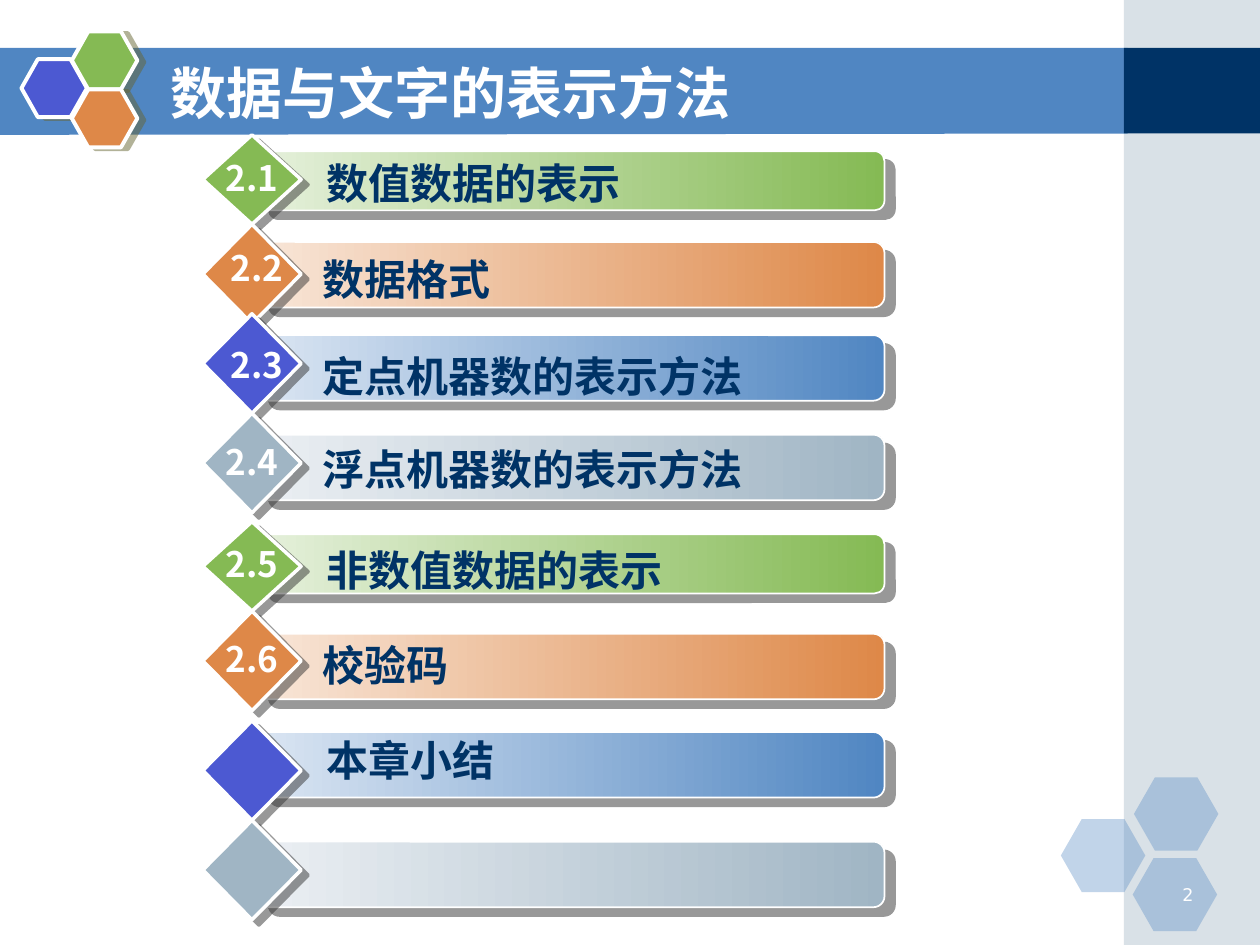
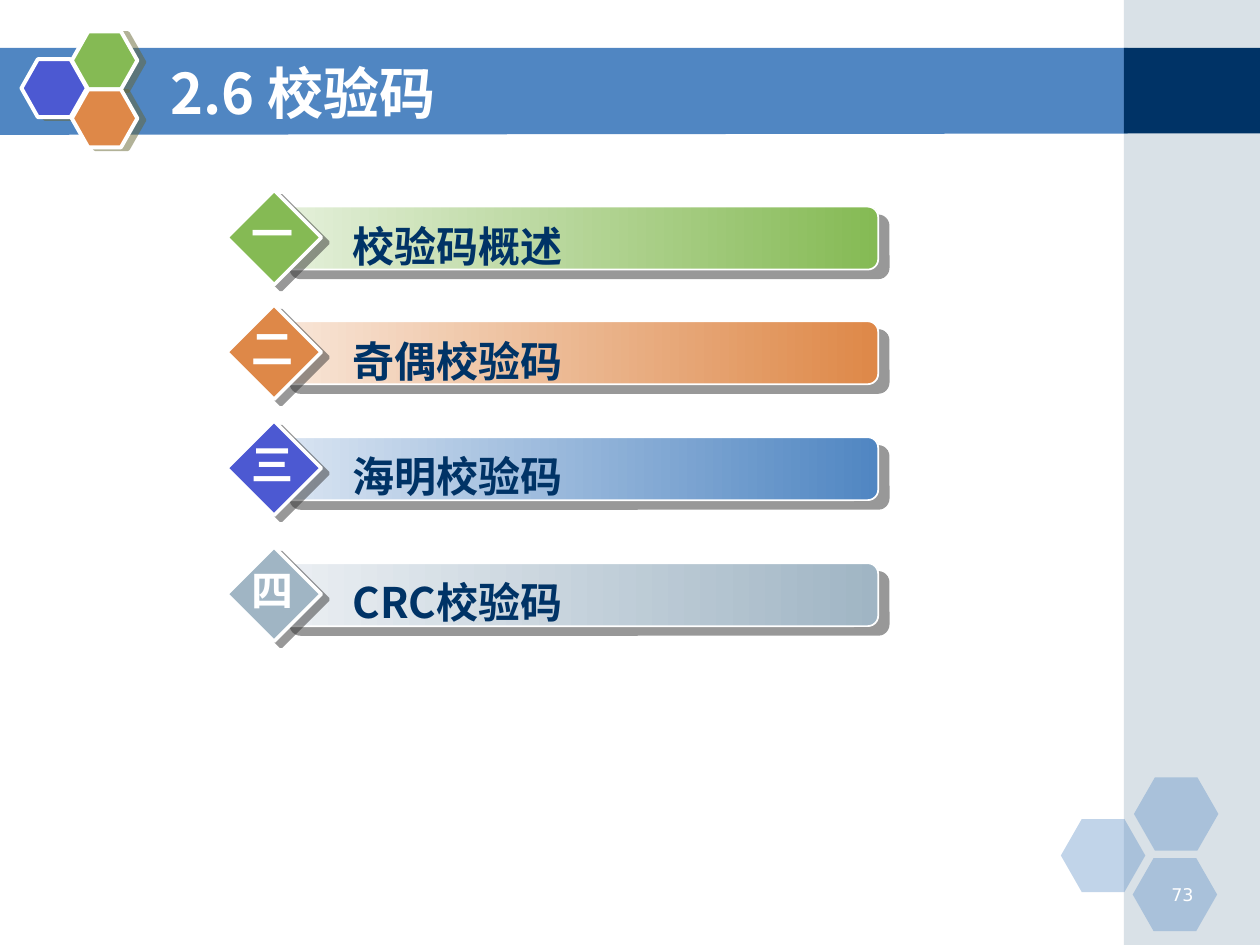
"""Build the chapter contents slide and the check code section slide."""
from lxml import etree
from pptx import Presentation
from pptx.dml.color import RGBColor
from pptx.enum.shapes import MSO_SHAPE
from pptx.enum.text import MSO_ANCHOR, MSO_AUTO_SIZE, PP_ALIGN
from pptx.oxml.ns import qn
from pptx.util import Inches, Pt

RECTANGLE, ROUNDED = MSO_SHAPE.RECTANGLE, MSO_SHAPE.ROUNDED_RECTANGLE
HEXAGON, DIAMOND = MSO_SHAPE.HEXAGON, MSO_SHAPE.DIAMOND
LEFT, CENTER, RIGHT = PP_ALIGN.LEFT, PP_ALIGN.CENTER, PP_ALIGN.RIGHT
MIDDLE, NO_FIT = MSO_ANCHOR.MIDDLE, MSO_AUTO_SIZE.NONE

COLORS = {
    "white": "FFFFFF", "navy": "003366", "blue": "5086C2", "indigo": "4C59D2",
    "green": "85BA54", "orange": "DE8848", "gray": "A0B5C4",
    "pale_green": "E5F0DB", "pale_orange": "F8E6D8",
    "pale_blue": "DAE5F2", "pale_gray": "EBEFF3",
    "shadow": "333333", "badge_shadow": "666633",
}
TEXT_FONT, NUMBER_FONT = "Noto Sans CJK SC", "DejaVu Sans"

# Diamond colour, then the start and end of the bar's gradient.
ACCENTS = [
    ("green", "pale_green", "green"),
    ("orange", "pale_orange", "orange"),
    ("indigo", "pale_blue", "blue"),
    ("gray", "pale_gray", "gray"),
]

CHAPTER_TITLE, CHAPTER_PAGE = "数据与文字的表示方法", "2"
# Number, its left and top; label, its left and top; bar top, diamond top.
CHAPTER_ROWS = [
    ("2.1", 1.69, 1.19, "数值数据的表示", 2.49, 1.2, 1.2, 1.07),
    ("2.2", 1.73, 1.91, "数据格式", 2.46, 1.96, 1.92, 1.78),
    ("2.3", 1.73, 2.68, "定点机器数的表示方法", 2.46, 2.73, 2.66, 2.49),
    ("2.4", 1.69, 3.45, "浮点机器数的表示方法", 2.46, 3.47, 3.45, 3.28),
    ("2.5", 1.69, 4.26, "非数值数据的表示", 2.49, 4.27, 4.24, 4.14),
    ("2.6", 1.69, 5.01, "校验码", 2.46, 5.03, 5.03, 4.85),
    ("", 0, 0, "本章小结", 2.49, 5.78, 5.81, 5.72),
    ("", 0, 0, "", 0, 0, 6.68, 6.51),
]

SECTION_TITLE, SECTION_PAGE = "2.6 校验码", "73"
SECTION_ROWS = [
    ("一", "校验码概述", 1.64),
    ("二", "奇偶校验码", 2.55),
    ("三", "海明校验码", 3.47),
    ("四", "CRC校验码", 4.47),
]

CORNER_HEXAGONS = [(8.42, 6.5), (9, 6.17), (8.99, 6.81)]
BADGE_HEXAGONS = [(0.17, 0.47, "indigo"), (0.57, 0.25, "green"), (0.57, 0.71, "orange")]


def rgb(name):
    return RGBColor.from_string(COLORS[name])


def fill_solid(shape, color, opacity=100):
    shape.fill.solid()
    shape.fill.fore_color.rgb = rgb(color)
    if opacity < 100:
        tone = shape._element.spPr.find(qn("a:solidFill"))[0]
        etree.SubElement(tone, qn("a:alpha"), val=str(opacity * 1000))


def outline(shape, width):
    shape.line.color.rgb = rgb("white")
    shape.line.width = Pt(width)


def cast_shadow(shape, color, distance, angle):
    effects = shape._element.spPr.find(qn("a:effectLst"))
    shadow = etree.SubElement(
        effects, qn("a:outerShdw"), blurRad="0", dist=str(Pt(distance)),
        dir=str(angle * 60000), algn="ctr", rotWithShape="0")
    tone = etree.SubElement(shadow, qn("a:srgbClr"), val=COLORS[color])
    etree.SubElement(tone, qn("a:alpha"), val="50000")


def add_figure(page, kind, left, top, width, height, adjustments=()):
    shape = page.shapes.add_shape(
        kind, Inches(left), Inches(top), Inches(width), Inches(height))
    shape.shadow.inherit = False
    shape.line.fill.background()
    for index, value in enumerate(adjustments):
        shape.adjustments[index] = value
    return shape


def write(frame, text, size, color, align=LEFT, font=TEXT_FONT, bold=True):
    para = frame.paragraphs[0]
    para.alignment = align
    span = para.add_run()
    span.text = text
    span.font.size, span.font.bold, span.font.name = Pt(size), bold, font
    span.font.color.rgb = rgb(color)
    etree.SubElement(span._r.get_or_add_rPr(), qn("a:ea"), typeface=font)


def add_text(page, text, left, top, width, height, size, color, align=LEFT, **style):
    box = page.shapes.add_textbox(
        Inches(left), Inches(top), Inches(width), Inches(height))
    box.text_frame.word_wrap = align != CENTER
    write(box.text_frame, text, size, color, align, **style)


def decorate_layout(layout, page):
    """Draw the bands and hexagons, then move them to the shared layout."""
    for holder in list(layout.placeholders)[1:]:
        holder._element.getparent().remove(holder._element)

    builder = page.shapes.build_freeform(Inches(-0.01), Inches(0.38), scale=1.0)
    corners = [(8.95, 0.38), (8.95, 1.06), (-0.01, 1.07)]
    builder.add_line_segments([(Inches(x), Inches(y)) for x, y in corners], close=True)
    band = builder.convert_to_shape()
    band.shadow.inherit = False
    band.line.fill.background()
    fill_solid(band, "blue")

    side = add_figure(page, RECTANGLE, 8.92, 0, 1.08, 7.5)
    fill_solid(side, "gray", 40)
    crossing = add_figure(page, RECTANGLE, 8.92, 0.38, 1.08, 0.68)
    fill_solid(crossing, "navy")
    for left, top in CORNER_HEXAGONS:
        fill_solid(add_figure(page, HEXAGON, left, top, 0.67, 0.58, (0.286, 1.155)),
                   "blue", 35)
    for left, top, color in BADGE_HEXAGONS:
        badge = add_figure(page, HEXAGON, left, top, 0.52, 0.46, (0.283, 1.155))
        fill_solid(badge, color)
        outline(badge, 2.25)
        cast_shadow(badge, "badge_shadow", 4.1, 14)

    for shape in list(page.shapes):
        if not shape.is_placeholder:
            layout.shapes._spTree.append(shape._element)


def add_heading(page, title, page_number):
    add_text(page, page_number, 9.07, 6.97, 0.5, 0.25, 10, "white", RIGHT,
             font=NUMBER_FONT, bold=False)
    holder = page.shapes.title
    holder.left, holder.top = Inches(1.25), Inches(0.42)
    holder.width, holder.height = Inches(7.33), Inches(0.62)
    holder.text_frame.auto_size = NO_FIT
    holder.text_frame.vertical_anchor = MIDDLE
    write(holder.text_frame, title, 32, "white")


def add_bar(page, accent, bar_place, diamond_place):
    diamond_color, start, end = accent
    bar = add_figure(page, ROUNDED, *bar_place, (0.167,))
    bar.fill.gradient()
    bar.fill.gradient_angle = 0
    for stop, color in zip(bar.fill.gradient_stops, (start, end)):
        stop.color.rgb = rgb(color)
    outline(bar, 1)
    cast_shadow(bar, "shadow", 7.8, 40)
    diamond = add_figure(page, DIAMOND, *diamond_place)
    fill_solid(diamond, diamond_color)
    outline(diamond, 2)
    cast_shadow(diamond, "shadow", 5, 37)


def fill_chapter(page):
    for index, row in enumerate(CHAPTER_ROWS):
        number, number_left, number_top, label, label_left, label_top, bar_top, diamond_top = row
        accent = ACCENTS[index % len(ACCENTS)]
        bar_height, diamond_height = (0.47, 0.71) if accent[0] == "green" else (0.52, 0.79)
        add_bar(page, accent, (2.05, bar_top, 4.97, bar_height),
                (1.61, diamond_top, 0.78, diamond_height))
        if label:
            add_text(page, label, label_left, label_top, 3.92, 0.5, 24, "navy")
        if number:
            add_text(page, number, number_left, number_top, 0.71, 0.44, 20, "white")


def fill_section(page):
    for accent, (number, label, top) in zip(ACCENTS, SECTION_ROWS):
        add_bar(page, accent, (2.22, top, 4.75, 0.5), (1.8, top - 0.13, 0.75, 0.75))
        add_text(page, label, 2.7, top + 0.06, 3.52, 0.5, 24, "navy")
        add_text(page, number, 1.9, top - 0.04, 0.53, 0.5, 24, "white", CENTER)


def main():
    deck = Presentation()
    deck.slide_width, deck.slide_height = Inches(10), Inches(7.5)
    layout = deck.slide_layouts[5]
    chapter, section = [deck.slides.add_slide(layout) for _ in range(2)]
    decorate_layout(layout, chapter)
    add_heading(chapter, CHAPTER_TITLE, CHAPTER_PAGE)
    fill_chapter(chapter)
    add_heading(section, SECTION_TITLE, SECTION_PAGE)
    fill_section(section)
    deck.save("out.pptx")


if __name__ == "__main__":
    main()
